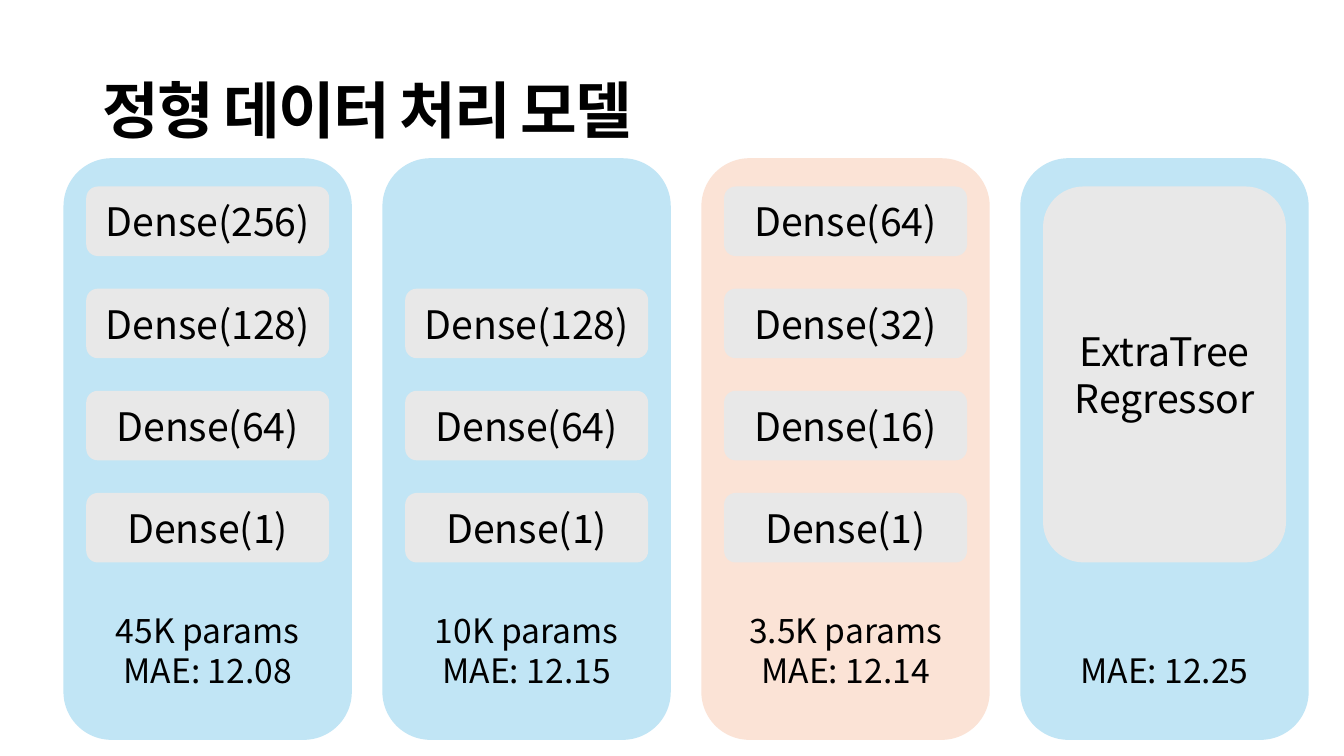
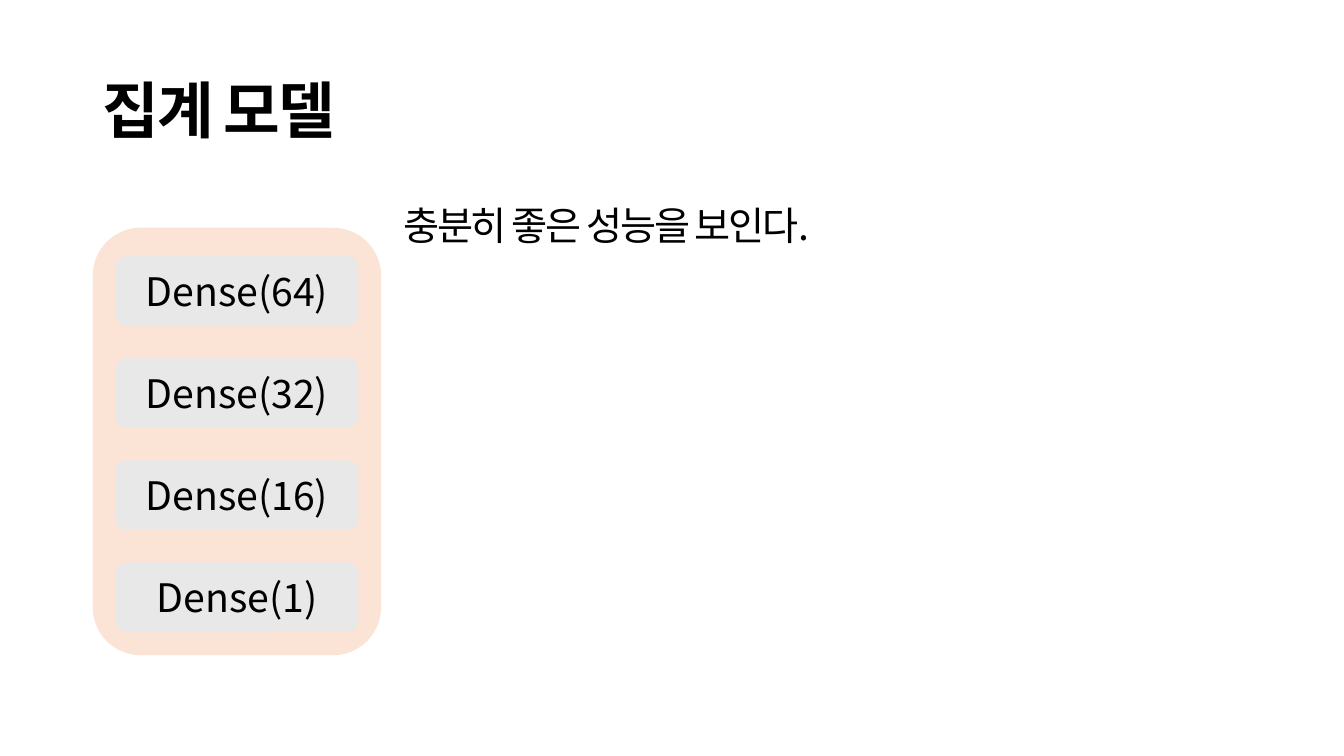
from dataclasses import dataclass, field

from lxml.etree import SubElement
from pptx import Presentation
from pptx.dml.color import RGBColor
from pptx.enum.shapes import MSO_SHAPE
from pptx.enum.text import MSO_ANCHOR, PP_ALIGN
from pptx.oxml.ns import qn
from pptx.shapes.autoshape import Shape
from pptx.shapes.shapetree import GroupShapes
from pptx.slide import Slide
from pptx.text.text import TextFrame
from pptx.util import Inches, Pt


@dataclass(frozen=True)
class Theme:
    font: str = "Noto Sans CJK KR"
    text: RGBColor = field(default_factory=lambda: RGBColor.from_string("000000"))
    panel: RGBColor = field(default_factory=lambda: RGBColor.from_string("C1E5F5"))
    chosen_panel: RGBColor = field(default_factory=lambda: RGBColor.from_string("FBE3D6"))
    layer: RGBColor = field(default_factory=lambda: RGBColor.from_string("E8E8E8"))
    title_size: int = 44
    body_size: int = 28
    metric_size: int = 24
    tight_spacing: float = -1.5


@dataclass(frozen=True)
class Model:
    """Layers stacked up from the bottom row; each one spans layer_rows rows."""

    layers: tuple[str, ...]
    metrics: str = ""
    chosen: bool = False
    layer_rows: int = 1


THEME = Theme()

PANEL_WIDTH = 2.86
TALL_PANEL, SHORT_PANEL = 5.77, 4.24
LAYER_WIDTH, LAYER_HEIGHT = 2.41, 0.69
STACK_ROWS, STACK_HEIGHT = 4, 3.73
ROW_PITCH = (STACK_HEIGHT - LAYER_HEIGHT) / (STACK_ROWS - 1)
INSET = (PANEL_WIDTH - LAYER_WIDTH) / 2
STACK_OFFSET = 0.28
METRICS_OFFSET, METRICS_HEIGHT = 4.42, 0.91
FIRST_PANEL, LAST_PANEL = 0.63, 10.12

CHOSEN_LAYERS = ("Dense(64)", "Dense(32)", "Dense(16)", "Dense(1)")
TABULAR_MODELS = (
    Model(("Dense(256)", "Dense(128)", "Dense(64)", "Dense(1)"), "45K params\nMAE: 12.08"),
    Model(("Dense(128)", "Dense(64)", "Dense(1)"), "10K params\nMAE: 12.15"),
    Model(CHOSEN_LAYERS, "3.5K params\nMAE: 12.14", chosen=True),
    Model(("ExtraTree\nRegressor",), "MAE: 12.25", layer_rows=STACK_ROWS),
)
AGGREGATE_MODEL = Model(CHOSEN_LAYERS, chosen=True)


def write_text(
    frame: TextFrame,
    text: str,
    *,
    size: int,
    bold: bool = False,
    align: PP_ALIGN = PP_ALIGN.CENTER,
    anchor: MSO_ANCHOR = MSO_ANCHOR.MIDDLE,
    line_spacing: float = 1.0,
    space_before: float = 0,
    letter_spacing: float = 0,
) -> None:
    frame.word_wrap = True
    frame.vertical_anchor = anchor
    frame.text = text
    for paragraph in frame.paragraphs:
        paragraph.alignment = align
        paragraph.line_spacing = line_spacing
        paragraph.space_before = Pt(space_before)
        for run in paragraph.runs:
            run.font.name = THEME.font
            run.font.size = Pt(size)
            run.font.bold = bold
            run.font.color.rgb = THEME.text
            properties = run.font._element
            SubElement(properties, qn("a:ea")).set("typeface", THEME.font)
            if letter_spacing:
                properties.set("spc", str(round(letter_spacing * 100)))


def add_rounded_box(
    shapes: GroupShapes, left: float, top: float, width: float, height: float, fill: RGBColor
) -> Shape:
    shape = shapes.add_shape(
        MSO_SHAPE.ROUNDED_RECTANGLE, Inches(left), Inches(top), Inches(width), Inches(height)
    )
    shape.shadow.inherit = False
    shape.fill.solid()
    shape.fill.fore_color.rgb = fill
    shape.line.fill.background()
    return shape


def add_model(slide: Slide, model: Model, left: float, top: float, height: float) -> None:
    """Group a panel with its layers and, below them, its metrics."""
    shapes = slide.shapes.add_group_shape().shapes
    panel_fill = THEME.chosen_panel if model.chosen else THEME.panel
    add_rounded_box(shapes, left, top, PANEL_WIDTH, height, panel_fill)

    first_row = STACK_ROWS - len(model.layers) * model.layer_rows
    layer_height = LAYER_HEIGHT + (model.layer_rows - 1) * ROW_PITCH
    for row, name in enumerate(model.layers, first_row):
        layer_top = top + STACK_OFFSET + row * ROW_PITCH
        layer = add_rounded_box(
            shapes, left + INSET, layer_top, LAYER_WIDTH, layer_height, THEME.layer
        )
        write_text(layer.text_frame, name, size=THEME.body_size)

    if model.metrics:
        metrics = shapes.add_textbox(
            Inches(left + INSET), Inches(top + METRICS_OFFSET),
            Inches(LAYER_WIDTH), Inches(METRICS_HEIGHT),
        )
        write_text(
            metrics.text_frame, model.metrics, size=THEME.metric_size, anchor=MSO_ANCHOR.BOTTOM
        )


def add_titled_slide(presentation: Presentation, text: str) -> Slide:
    slide = presentation.slides.add_slide(presentation.slide_layouts.get_by_name("Title Only"))
    title = slide.shapes.title
    title.left, title.top = Inches(0.92), Inches(0.4)
    title.width, title.height = Inches(11.5), Inches(1.45)
    write_text(
        title.text_frame, text, size=THEME.title_size, bold=True, align=PP_ALIGN.LEFT,
        line_spacing=0.9, letter_spacing=THEME.tight_spacing,
    )
    return slide


def build_tabular_slide(presentation: Presentation) -> None:
    slide = add_titled_slide(presentation, "정형 데이터 처리 모델")
    panel_pitch = (LAST_PANEL - FIRST_PANEL) / (len(TABULAR_MODELS) - 1)
    for column, model in enumerate(TABULAR_MODELS):
        add_model(slide, model, FIRST_PANEL + column * panel_pitch, 1.57, TALL_PANEL)


def build_aggregate_slide(presentation: Presentation) -> None:
    slide = add_titled_slide(presentation, "집계 모델")
    remark = slide.shapes.add_textbox(Inches(3.9), Inches(2), Inches(8.51), Inches(4.76))
    write_text(
        remark.text_frame, "충분히 좋은 성능을 보인다.", size=THEME.body_size,
        align=PP_ALIGN.LEFT, anchor=MSO_ANCHOR.TOP, line_spacing=0.9, space_before=10,
        letter_spacing=THEME.tight_spacing,
    )
    add_model(slide, AGGREGATE_MODEL, 0.92, 2.26, SHORT_PANEL)


def main() -> None:
    presentation = Presentation()
    presentation.slide_width, presentation.slide_height = Inches(13.33), Inches(7.5)
    build_tabular_slide(presentation)
    build_aggregate_slide(presentation)
    presentation.save("out.pptx")


if __name__ == "__main__":
    main()
